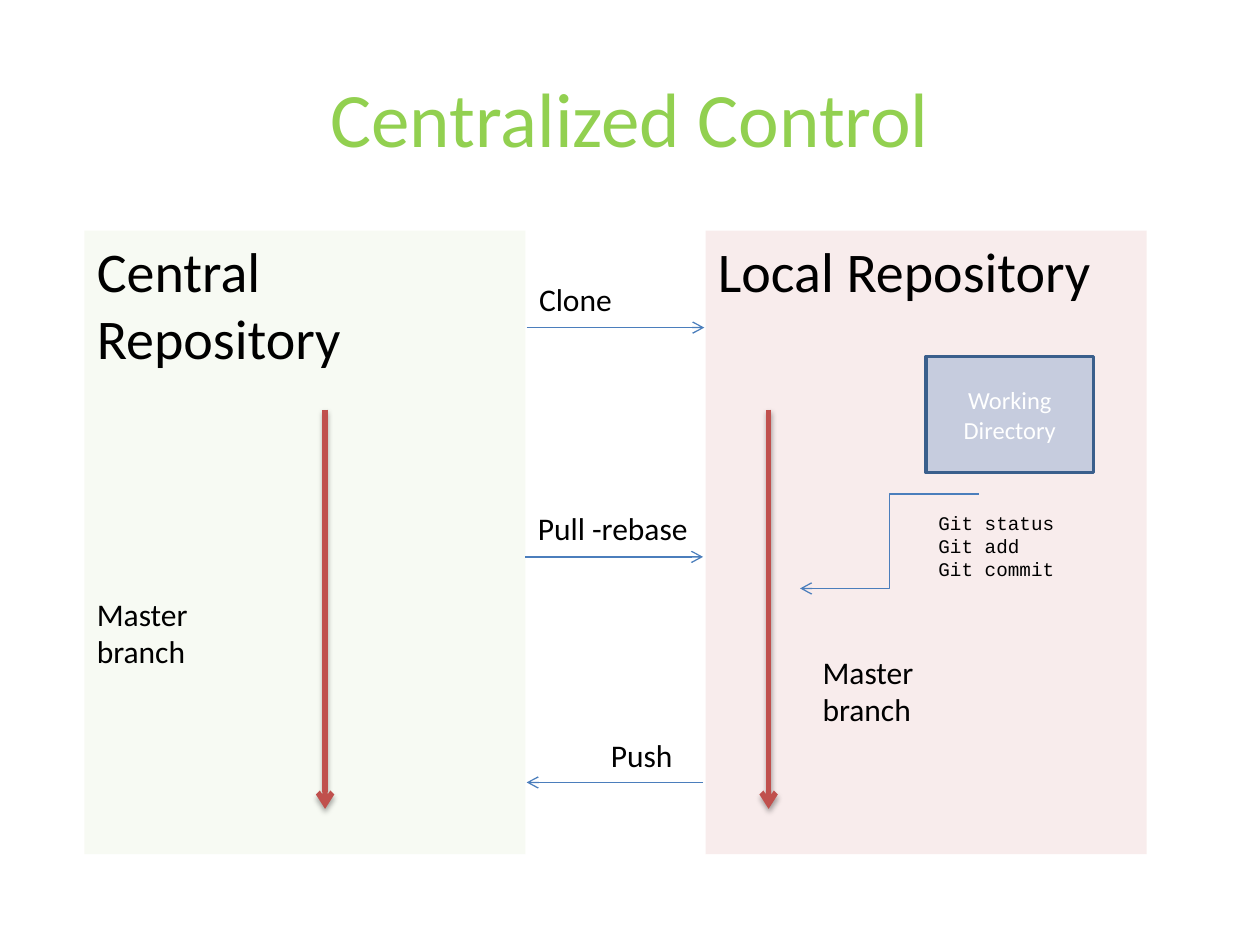
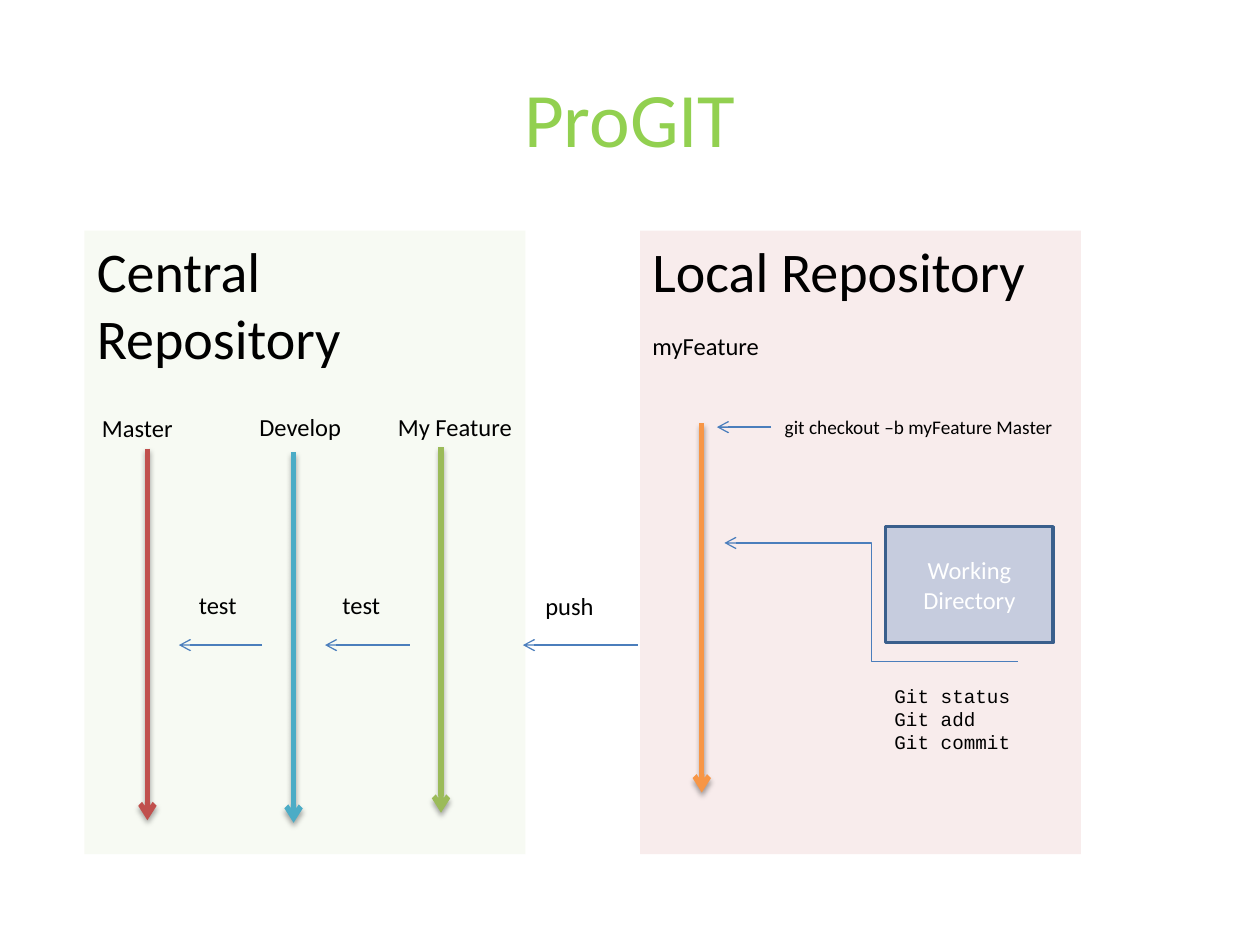
from dataclasses import dataclass

from lxml import etree
from pptx import Presentation
from pptx import util as u
from pptx.dml.color import RGBColor
from pptx.enum import shapes, text
from pptx.oxml import ns

COLOURS = {
    "title": "92D050", "ink": "000000", "white": "FFFFFF",
    "central": "D7E4BD", "local": "F2DCDB", "directory": "4F81BD",
    "border": "3A5F8C", "flow": "4B7EBC", "red": "C0504D",
    "teal": "4BACC6", "green": "9BBB59", "orange": "F79646",
}
BODY_FONT, CODE_FONT = "Calibri", "Courier New"
PANEL_TOP, PANEL_WIDTH, PANEL_HEIGHT = 1.83, 3.5, 4.95
CENTRAL_LEFT = 0.67
GIT_COMMANDS = "Git status\nGit add\nGit commit"
LEFT, CENTER = text.PP_ALIGN.LEFT, text.PP_ALIGN.CENTER
TOP, MIDDLE = text.MSO_ANCHOR.TOP, text.MSO_ANCHOR.MIDDLE


@dataclass(frozen=True)
class Label:
    words: str
    left: float
    top: float
    width: float
    height: float
    size: int = 14
    font: str = BODY_FONT


@dataclass(frozen=True)
class Flow:
    """A thin arrow for a step between branches or repositories."""
    begin: tuple[float, float]
    end: tuple[float, float]
    bent: bool = False


@dataclass(frozen=True)
class Branch:
    """A thick arrow pointing down along a branch."""
    x: float
    top: float
    bottom: float
    colour: str


@dataclass(frozen=True)
class Diagram:
    title: str
    local_left: float
    directory: tuple[float, float]
    branches: list[Branch]
    flows: list[Flow]
    labels: list[Label]


# Shared formatting
def rgb(name: str) -> RGBColor:
    return RGBColor.from_string(COLOURS[name])


def add_node(parent, tag: str, **attributes):
    node = etree.SubElement(parent, ns.qn(tag))
    for name, value in attributes.items():
        node.set(name, str(value))
    return node


def write(shape, words: str, size: int, colour: str = "ink", font: str = BODY_FONT,
          align=LEFT, anchor=TOP) -> None:
    frame = shape.text_frame
    frame.text = words
    frame.word_wrap = True
    frame.vertical_anchor = anchor
    values = {"name": font, "size": u.Pt(size)}
    for paragraph in frame.paragraphs:
        paragraph.alignment = align
        for run in paragraph.runs:
            for name, value in values.items():
                setattr(run.font, name, value)
            run.font.color.rgb = rgb(colour)


def add_box(slide, left: float, top: float, width: float, height: float,
            colour: str, opacity: int):
    shape = slide.shapes.add_shape(shapes.MSO_SHAPE.RECTANGLE, u.Inches(left),
                                   u.Inches(top), u.Inches(width), u.Inches(height))
    shape.shadow.inherit = False
    shape.fill.solid()
    shape.fill.fore_color.rgb = rgb(colour)
    fill = shape._element.spPr.find(ns.qn("a:solidFill"))
    add_node(fill[0], "a:alpha", val=opacity * 1000)
    shape.line.fill.background()
    return shape


def add_arrow(slide, begin: tuple[float, float], end: tuple[float, float], colour: str,
              width: float, bent: bool = False, shadow: bool = False) -> None:
    kind = shapes.MSO_CONNECTOR.ELBOW if bent else shapes.MSO_CONNECTOR.STRAIGHT
    points = [u.Inches(value) for value in (*begin, *end)]
    connector = slide.shapes.add_connector(kind, *points)
    connector.line.color.rgb = rgb(colour)
    connector.line.width = u.Pt(width)
    properties = connector._element.spPr
    add_node(properties.find(ns.qn("a:ln")), "a:tailEnd", type="arrow")
    effects = add_node(properties, "a:effectLst")
    if shadow:
        outer = add_node(effects, "a:outerShdw", blurRad=u.Pt(3.1), dist=u.Pt(1.8),
                         dir=90 * 60000, rotWithShape=0)
        black = add_node(outer, "a:srgbClr", val=COLOURS["ink"])
        add_node(black, "a:alpha", val=35000)


# Parts of a diagram
def add_title(slide, words: str) -> None:
    title = slide.shapes.title
    place = {"left": 0.5, "top": 0.3, "width": 9, "height": 1.25}
    for name, value in place.items():
        setattr(title, name, u.Inches(value))
    write(title, words, 44, "title", align=CENTER, anchor=MIDDLE)


def add_panel(slide, words: str, left: float, colour: str, opacity: int) -> None:
    panel = add_box(slide, left, PANEL_TOP, PANEL_WIDTH, PANEL_HEIGHT, colour, opacity)
    write(panel, words, 32)


def add_directory(slide, left: float, top: float) -> None:
    box = add_box(slide, left, top, 1.33, 0.92, "directory", 29)
    box.line.color.rgb = rgb("border")
    box.line.width = u.Pt(2)
    write(box, "Working Directory", 14, "white", align=CENTER, anchor=MIDDLE)


def add_label(slide, label: Label) -> None:
    box = slide.shapes.add_textbox(u.Inches(label.left), u.Inches(label.top),
                                   u.Inches(label.width), u.Inches(label.height))
    write(box, label.words, label.size, font=label.font)
    box.text_frame.auto_size = text.MSO_AUTO_SIZE.SHAPE_TO_FIT_TEXT


def add_diagram(presentation, diagram: Diagram) -> None:
    slide = presentation.slides.add_slide(presentation.slide_layouts[5])
    add_title(slide, diagram.title)
    add_panel(slide, "Central Repository", CENTRAL_LEFT, "central", 18)
    add_panel(slide, "Local Repository", diagram.local_left, "local", 52)
    add_directory(slide, *diagram.directory)
    for branch in diagram.branches:
        add_arrow(slide, (branch.x, branch.top), (branch.x, branch.bottom),
                  branch.colour, 3, shadow=True)
    for flow in diagram.flows:
        add_arrow(slide, flow.begin, flow.end, "flow", 0.75, bent=flow.bent)
    for label in diagram.labels:
        add_label(slide, label)


# Content
CENTRALIZED = Diagram(
    title="Centralized Control",
    local_left=5.6,
    directory=(7.35, 2.83),
    branches=[Branch(x, 3.25, 6.42, "red") for x in (2.58, 6.1)],
    flows=[
        Flow((4.18, 2.6), (5.59, 2.6)),
        Flow((4.17, 4.42), (5.58, 4.42)),
        Flow((5.58, 6.21), (4.18, 6.21)),
        Flow((7.77, 3.92), (6.35, 4.67), bent=True),
    ],
    labels=[
        Label("Master branch", 0.67, 4.67, 1.66, 0.71, 18),
        Label("Master branch", 6.43, 5.13, 1.33, 0.71, 18),
        Label("Clone", 4.18, 2.17, 1.23, 0.4, 18),
        Label("Pull -rebase", 4.17, 3.99, 1.41, 0.4, 18),
        Label("Push", 4.75, 5.79, 0.8, 0.4, 18),
        Label(GIT_COMMANDS, 7.35, 4.01, 1.5, 0.66, 11, CODE_FONT),
    ],
)

PROGIT = Diagram(
    title="ProGIT",
    local_left=5.08,
    directory=(7.03, 4.18),
    branches=[
        Branch(1.17, 3.56, 6.51, "red"),
        Branch(2.33, 3.59, 6.53, "teal"),
        Branch(3.5, 3.55, 6.45, "green"),
        Branch(5.57, 3.36, 6.29, "orange"),
    ],
    flows=[
        *(Flow((begin, 5.12), (end, 5.12))
          for begin, end in ((2.08, 1.42), (3.25, 2.58), (5.06, 4.15))),
        Flow((6.12, 3.39), (5.69, 3.39)),
        Flow((8.08, 5.25), (5.75, 4.31), bent=True),
    ],
    labels=[
        Label("Master", 0.71, 3.23, 0.92, 0.34),
        Label("Develop", 1.96, 3.22, 0.91, 0.34),
        Label("My Feature", 3.06, 3.22, 1.2, 0.34),
        Label("myFeature", 5.08, 2.58, 1.33, 0.34),
        Label("test", 1.48, 4.63, 0.63, 0.34),
        Label("test", 2.62, 4.63, 0.63, 0.34),
        Label("push", 4.23, 4.64, 0.63, 0.34),
        Label("git checkout –b myFeature Master", 6.13, 3.25, 2.46, 0.29, 11),
        Label(GIT_COMMANDS, 7, 5.38, 1.12, 0.66, 11, CODE_FONT),
    ],
)


def main() -> None:
    presentation = Presentation()
    presentation.slide_width = u.Inches(10)
    presentation.slide_height = u.Inches(7.5)
    for diagram in (CENTRALIZED, PROGIT):
        add_diagram(presentation, diagram)
    presentation.save("out.pptx")


if __name__ == "__main__":
    main()
